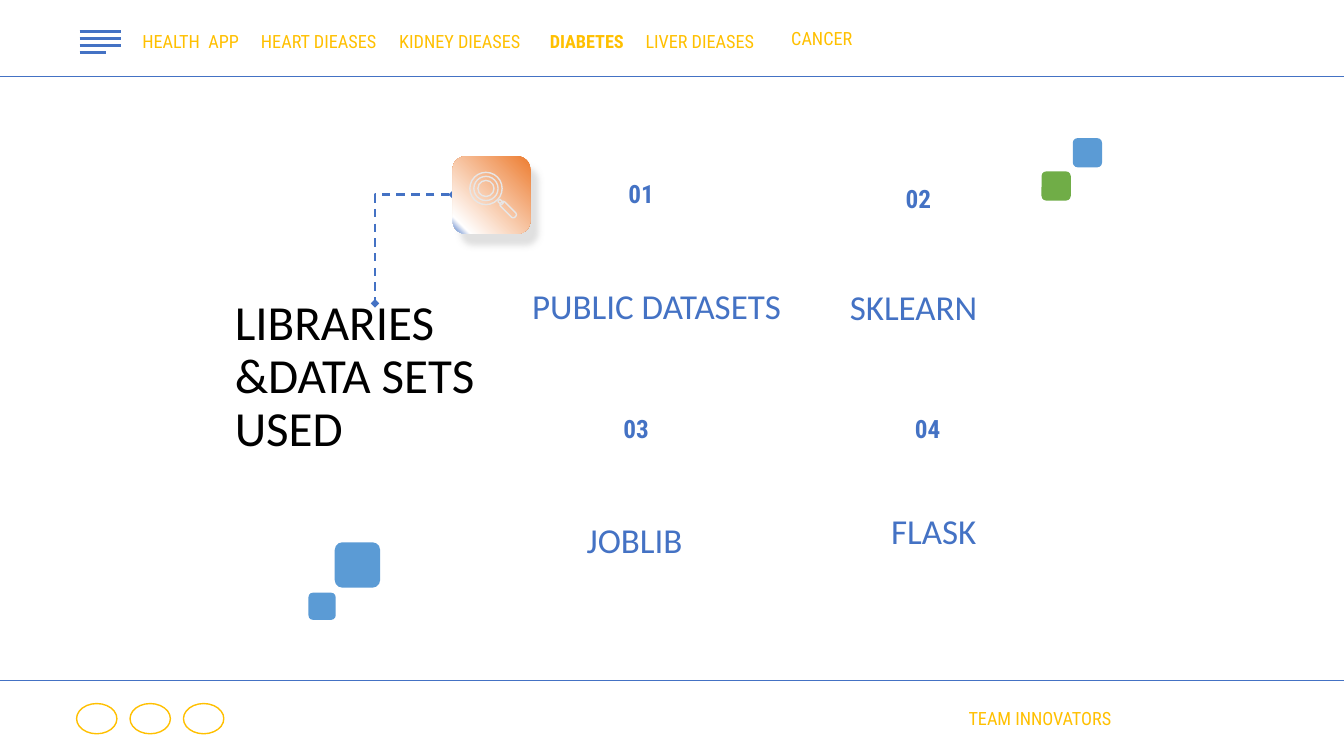
from lxml.etree import SubElement
from pptx import Presentation
from pptx.dml.color import RGBColor
from pptx.enum.dml import MSO_LINE
from pptx.enum.shapes import MSO_CONNECTOR, MSO_SHAPE
from pptx.enum.text import MSO_ANCHOR, PP_ALIGN
from pptx.oxml import parse_xml
from pptx.oxml.ns import nsdecls, qn
from pptx.util import Inches, Pt

BLUE, SKY, GREEN = "4472C4", "5B9BD5", "70AD47"
ORANGE, GOLD, GREY = "ED7D31", "FFC000", "E7E6E6"
WHITE, BLACK = "FFFFFF", "000000"
BODY, CONDENSED = "Calibri", "Roboto Condensed"
WIDTH, HEIGHT = 13.33, 7.5


def rgb(color):
    return RGBColor.from_string(color)


def add_text(s, box, text, size, color, font=CONDENSED, bold=False,
             align=PP_ALIGN.CENTER, spacing=None):
    tf = s.shapes.add_textbox(*map(Inches, box)).text_frame
    tf.word_wrap = True
    tf.vertical_anchor = MSO_ANCHOR.MIDDLE
    tf.margin_left = tf.margin_right = Inches(0.1)
    tf.margin_top = tf.margin_bottom = Inches(0.1)
    p = tf.paragraphs[0]
    p.alignment = align
    if spacing:
        p.line_spacing = spacing
    r = p.add_run()
    r.text = text
    r.font.name = font
    r.font.size = Pt(size)
    r.font.bold = bold
    r.font.color.rgb = rgb(color)


def add_heading(s, box, text, size, color):
    add_text(s, box, text, size, color, BODY, align=PP_ALIGN.LEFT, spacing=0.9)


def add_line(s, start, end, width, kind=MSO_CONNECTOR.STRAIGHT):
    c = s.shapes.add_connector(kind, *map(Inches, start + end))
    c.line.color.rgb = rgb(BLUE)
    c.line.width = Pt(width)
    SubElement(c._element.spPr, qn("a:effectLst"))
    return c


def add_filled(s, box, color):
    """Rounded square without an outline."""
    sp = s.shapes.add_shape(MSO_SHAPE.ROUNDED_RECTANGLE, *map(Inches, box))
    sp.shadow.inherit = False
    sp.fill.solid()
    sp.fill.fore_color.rgb = rgb(color)
    sp.line.fill.background()
    return sp


def add_outlined(s, kind, box, color, rotation=0):
    sp = s.shapes.add_shape(kind, *map(Inches, box))
    sp.shadow.inherit = False
    sp.fill.background()
    sp.line.color.rgb = rgb(color)
    sp.line.width = Pt(1)
    sp.rotation = rotation
    return sp


def navigation(s, x, y):
    for i, length in enumerate((0.41, 0.41, 0.41, 0.26)):
        bar_y = y + 0.31 + i * 0.07
        add_line(s, (x + 0.79, bar_y), (x + 0.79 + length, bar_y), 2.25)
    items = [("HEALTH  APP", 1.89, 0.19), ("HEART DIEASES", 3.16, 0.19),
             ("KIDNEY DIEASES", 4.56, 0.19), ("DIABETES", 5.82, 0.19),
             ("LIVER DIEASES", 6.94, 0.19), ("CANCER", 8.15, 0.16)]
    for label, center, top in items:
        add_text(s, (x + center - 0.8, y + top, 1.6, 0.44), label, 13, GOLD,
                 bold=label == "DIABETES")
    add_line(s, (x, y + 0.76), (x + WIDTH, y + 0.76), 0.75)


def footer(s, x, y):
    add_line(s, (x, y), (x + WIDTH, y), 0.75)
    for i in range(3):
        add_outlined(s, MSO_SHAPE.OVAL,
                     (x + 0.76 + i * 0.53, y + 0.23, 0.4, 0.3), GOLD)
    add_text(s, (x + 8.66, y + 0.16, 2.5, 0.44), "TEAM INNOVATORS ", 13, GOLD,
             align=PP_ALIGN.RIGHT)


def magnifier(s, x, y):
    """Lens with two rims and a glint, and a slanted handle."""
    cx, cy = x + 0.19, y + 0.16
    for radius in (0.16, 0.12):
        add_outlined(s, MSO_SHAPE.OVAL,
                     (cx - radius, cy - radius, 2 * radius, 2 * radius), GREY)
    glint = add_outlined(s, MSO_SHAPE.ARC,
                         (cx - 0.08, cy - 0.08, 0.16, 0.16), GREY)
    glint.adjustments[0], glint.adjustments[1] = -140, -40
    add_outlined(s, MSO_SHAPE.RECTANGLE,
                 (x + 0.31, y + 0.28, 0.05, 0.03), GREY, 45)
    handle = add_outlined(s, MSO_SHAPE.ROUNDED_RECTANGLE,
                          (x + 0.31, y + 0.34, 0.2, 0.06), GREY, 45)
    handle.adjustments[0] = 0.4


def search_tile(s, x, y, size):
    tile = add_filled(s, (x, y, size, size), WHITE)
    pr = tile._element.spPr
    stops = "".join(
        f'<a:gs pos="{pos * 1000}"><a:srgbClr val="{color}"/></a:gs>'
        for pos, color in ((0, ORANGE), (89, WHITE), (100, BLUE)))
    pr.replace(pr.find(qn("a:solidFill")), parse_xml(
        f'<a:gradFill {nsdecls("a")} rotWithShape="1"><a:gsLst>{stops}</a:gsLst>'
        '<a:lin ang="8100000" scaled="0"/></a:gradFill>'))
    pr.replace(pr.find(qn("a:effectLst")), parse_xml(
        f'<a:effectLst {nsdecls("a")}><a:outerShdw blurRad="{Pt(4.5)}" '
        f'dist="{Pt(9.8)}" dir="3300000" algn="tl" rotWithShape="0">'
        '<a:srgbClr val="CCCCCC"><a:alpha val="60000"/></a:srgbClr>'
        '</a:outerShdw></a:effectLst>'))
    magnifier(s, x + 0.14, y + 0.16)


def title_block(s, x, y):
    add_heading(s, (x, y + 1.46, 2.98, 1.48), "LIBRARIES &DATA SETS  USED",
                35, BLACK)
    elbow = add_line(s, (x + 2.26, y + 0.38), (x + 1.49, y + 1.46), 1.5,
                     MSO_CONNECTOR.ELBOW)
    elbow._element.spPr.find(qn("a:prstGeom")).set("prst", "bentConnector2")
    elbow.line.dash_style = MSO_LINE.DASH
    for end in ("a:headEnd", "a:tailEnd"):
        SubElement(elbow.line._get_or_add_ln(), qn(end), type="diamond")
    search_tile(s, x + 2.26, y, 0.77)


def resource(s, x, y, number, name, name_offset):
    """Number centred on x, with its name below at the given offset."""
    add_text(s, (x - 0.45, y - 0.36, 0.9, 0.71), number, 18, BLUE, bold=True)
    dx, dy = name_offset
    add_heading(s, (x + dx, y + dy, 2.98, 0.58), name, 25, BLUE)


def squares(s, x, y, parts):
    for dx, dy, size, color in parts:
        add_filled(s, (x + dx, y + dy, size, size), color)


def main():
    prs = Presentation()
    prs.slide_width, prs.slide_height = Inches(WIDTH), Inches(HEIGHT)
    s = prs.slides.add_slide(prs.slide_layouts[6])
    navigation(s, 0, 0)
    footer(s, 0, 6.75)
    title_block(s, 2.23, 1.55)
    resource(s, 6.36, 1.92, "01", "PUBLIC DATASETS", (-1.18, 0.85))
    resource(s, 9.11, 1.97, "02", "SKLEARN", (-0.78, 0.81))
    resource(s, 6.31, 4.25, "03", "JOBLIB", (-0.59, 0.84))
    resource(s, 9.2, 4.25, "04", "FLASK", (-0.46, 0.75))
    squares(s, 10.33, 1.37, [(0, 0.33, 0.29, GREEN), (0.31, 0, 0.29, SKY)])
    squares(s, 3.06, 5.38, [(0.26, 0, 0.45, SKY), (0, 0.5, 0.27, SKY)])
    prs.save("out.pptx")


if __name__ == "__main__":
    main()
